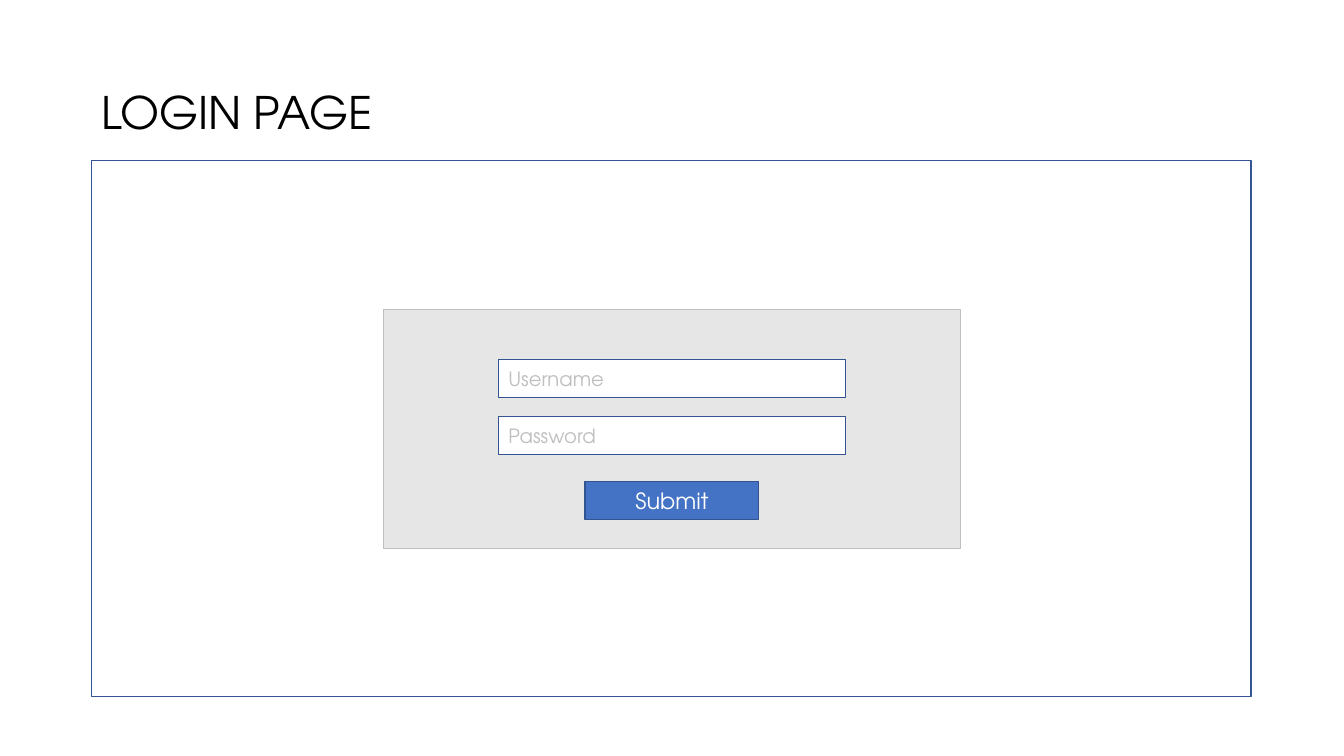
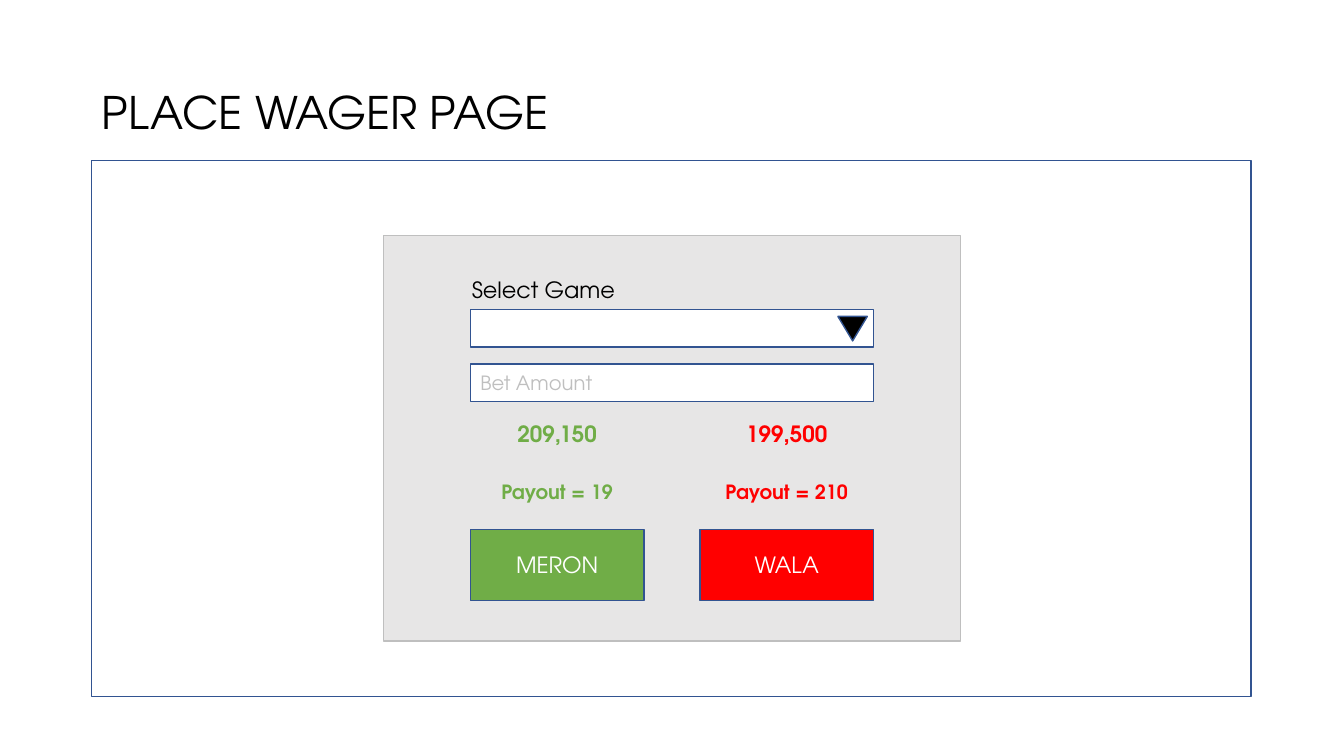
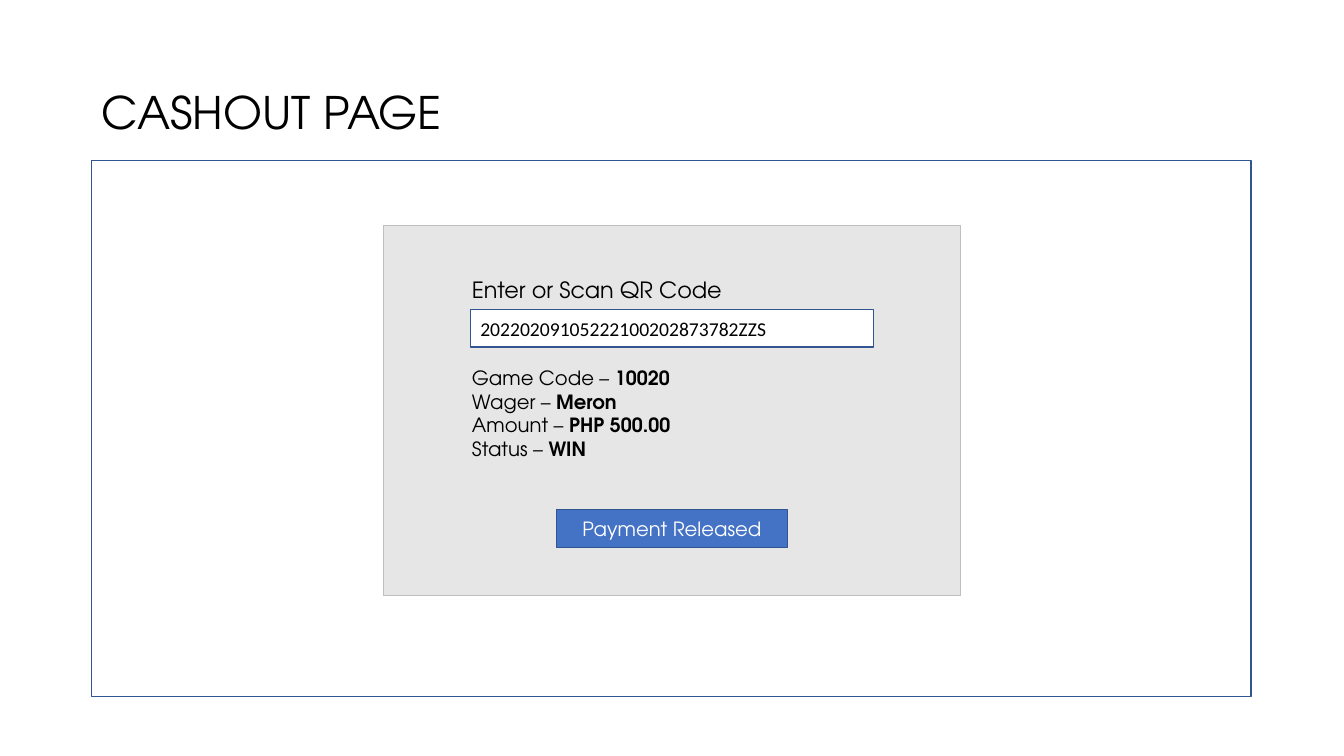
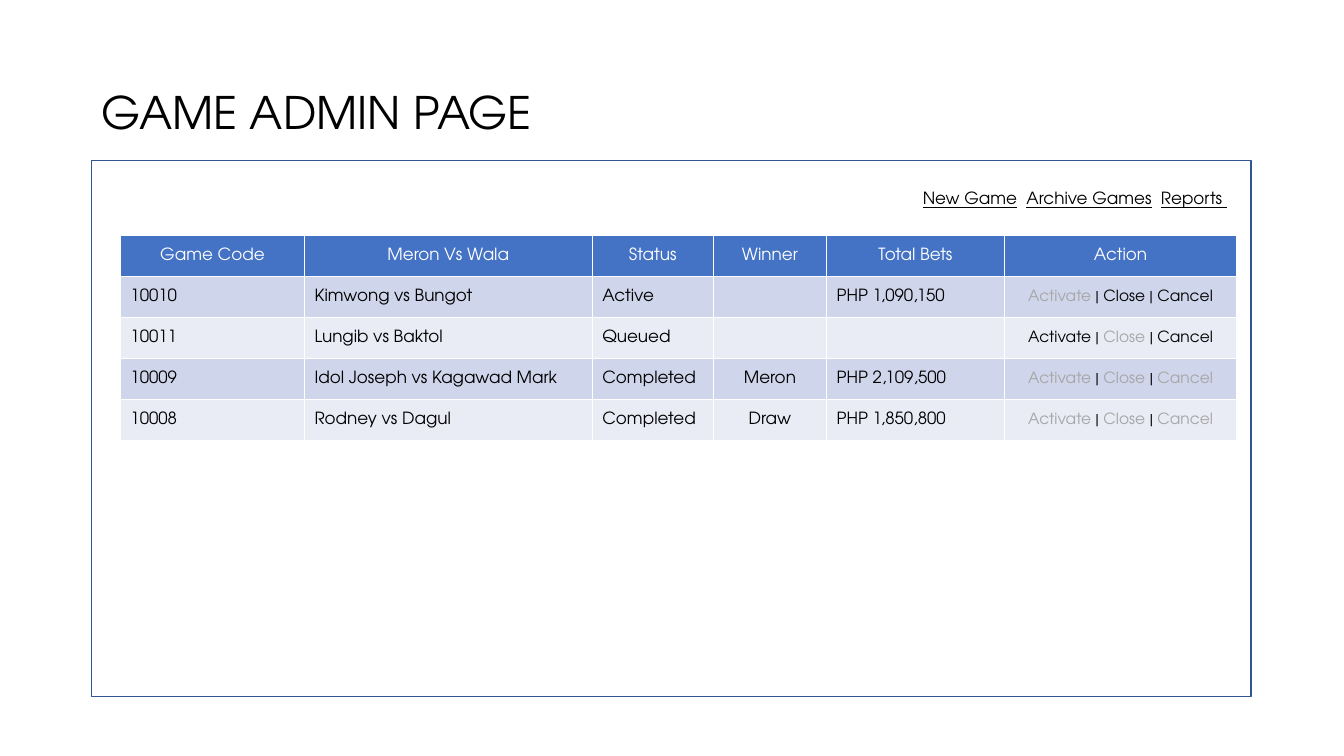
from dataclasses import dataclass

from pptx import Presentation
from pptx.dml.color import RGBColor
from pptx.enum.shapes import MSO_SHAPE as Shape
from pptx.enum.text import MSO_ANCHOR as Anchor, MSO_AUTO_SIZE as AutoSize, PP_ALIGN as Align
from pptx.util import Pt


@dataclass(frozen=True)
class Theme:
    font: str = "TeX Gyre Adventor"
    code_font: str = "Calibri"
    # Colours
    black: str = "000000"
    white: str = "FFFFFF"
    outline: str = "325491"
    accent: str = "4472C4"
    panel: str = "E7E6E6"
    muted: str = "BFBFBF"
    disabled: str = "A6A6A6"
    meron: str = "70AD47"
    wala: str = "FF0000"
    bands: tuple = ("CFD5EA", "E9EBF5")
    # Type sizes
    title: int = 32
    large: int = 16
    body: int = 14
    table: int = 12
    action: int = 11


THEME = Theme()
SLIDE_WIDTH, SLIDE_HEIGHT = 960, 540
FIELD_HEIGHT = 27


def centered(width):
    return (SLIDE_WIDTH - width) / 2


class Wireframe:
    """Builds mock-up pages; all lengths are in points."""

    def __init__(self, theme):
        self.theme = theme
        self.presentation = Presentation()
        self.presentation.slide_width = Pt(SLIDE_WIDTH)
        self.presentation.slide_height = Pt(SLIDE_HEIGHT)
        self.slide = None

    def page(self, title):
        layout = self.presentation.slide_layouts[5]
        self.slide = self.presentation.slides.add_slide(layout)
        self.box(65.5, 114.5, 828, 383)
        heading = self.slide.shapes.title
        self.place(heading, 65.5, 57, 448.5, 46)
        frame = heading.text_frame
        frame.auto_size = AutoSize.SHAPE_TO_FIT_TEXT
        self.fill_text(frame, title, anchor=Anchor.TOP, size=self.theme.title)

    def place(self, shape, *bounds):
        for name, value in zip(("left", "top", "width", "height"), bounds):
            setattr(shape, name, Pt(value))

    def fill_text(self, frame, content, align=Align.LEFT, anchor=Anchor.MIDDLE, **style):
        """Content is a string, or a list of paragraphs made of (text, style) runs."""
        paragraphs = [[(content, {})]] if isinstance(content, str) else content
        frame.word_wrap = True
        frame.vertical_anchor = anchor
        for index, runs in enumerate(paragraphs):
            paragraph = frame.add_paragraph() if index else frame.paragraphs[0]
            paragraph.alignment = align
            for text, changes in runs:
                run = paragraph.add_run()
                run.text = text
                self.format_run(run, **{**style, **changes})

    def format_run(self, run, size=THEME.body, color=THEME.black, name=THEME.font,
                   bold=False, underline=False, tracking=0):
        values = {"size": Pt(size), "name": name, "bold": bold, "underline": underline}
        for attribute, value in values.items():
            setattr(run.font, attribute, value)
        run.font.color.rgb = RGBColor.from_string(color)
        if tracking:
            run._r.get_or_add_rPr().set("spc", str(round(tracking * 100)))

    def paint(self, fill, color):
        if color is None:
            fill.background()
        else:
            fill.solid()
            fill.fore_color.rgb = RGBColor.from_string(color)

    def box(self, left, top, width, height, content=None, fill=None,
            line=THEME.outline, kind=Shape.RECTANGLE, **style):
        shape = self.slide.shapes.add_shape(kind, *map(Pt, (left, top, width, height)))
        shape.shadow.inherit = False
        self.paint(shape.fill, fill)
        self.paint(shape.line.fill, line)
        if line:
            shape.line.width = Pt(1)
        if content:
            self.fill_text(shape.text_frame, content, **style)
        return shape

    def panel(self, top, height):
        self.box(centered(412), top, 412, height, fill=self.theme.panel, line=self.theme.muted)

    def field(self, top, width, content=None, **style):
        style = {"color": self.theme.muted, **style}
        self.box(centered(width), top, width, FIELD_HEIGHT, content,
                 fill=self.theme.white, **style)

    def label(self, left, top, width, content, height=FIELD_HEIGHT, **style):
        self.box(left, top, width, height, content, fill=self.theme.panel,
                 line=self.theme.panel, **style)

    def button(self, left, top, width, text, fill=THEME.accent,
               height=FIELD_HEIGHT, size=THEME.large):
        self.box(left, top, width, height, text, fill=fill, align=Align.CENTER,
                 color=self.theme.white, size=size)

    def arrow_down(self, left, top, width, height):
        self.box(left, top, width, height, fill=self.theme.black,
                 kind=Shape.ISOSCELES_TRIANGLE).rotation = 180

    def cell(self, cell, content, fill, **style):
        cell.margin_top = cell.margin_bottom = Pt(0)
        cell.vertical_anchor = Anchor.MIDDLE
        self.paint(cell.fill, fill)
        if content:
            self.fill_text(cell.text_frame, content, **style)

    def table(self, left, top, widths, row_height, header, rows, centered_columns):
        count = len(rows) + 1
        table = self.slide.shapes.add_table(
            count, len(widths), Pt(left), Pt(top), Pt(sum(widths)), Pt(row_height * count)).table
        for column, width in zip(table.columns, widths):
            column.width = Pt(width)
        for index, text in enumerate(header):
            self.cell(table.cell(0, index), text, self.theme.accent, align=Align.CENTER,
                      color=self.theme.white, size=self.theme.table)
        for row_index, row in enumerate(rows):
            fill = self.theme.bands[row_index % 2]
            for index, content in enumerate(row):
                align = Align.CENTER if index in centered_columns else Align.LEFT
                self.cell(table.cell(row_index + 1, index), content, fill,
                          align=align, size=self.theme.table)


def game_actions(*enabled):
    """One line of actions, with those not enabled greyed out."""
    runs = []
    for action in ("Activate", "Close", "Cancel"):
        if runs:
            runs.append((" | ", {"size": THEME.action}))
        color = THEME.black if action in enabled else THEME.disabled
        runs.append((action, {"size": THEME.action, "color": color}))
    return [runs]


wireframe = Wireframe(THEME)

# Login page
wireframe.page("LOGIN PAGE")
wireframe.panel(221, 171)
for top, prompt in ((257, "Username"), (297.5, "Password")):
    wireframe.field(top, 248, prompt)
wireframe.button(centered(124), 344, 124, "Submit")

# Place wager page
wireframe.page("PLACE WAGER PAGE")
wireframe.panel(168, 290)
wireframe.label(330, 193, 124, "Select Game", size=THEME.large)
wireframe.field(221, 288)
wireframe.arrow_down(598.5, 226, 21, 17.5)
wireframe.field(260, 288, "Bet Amount")
sides = (
    (336, "MERON", "209,150", "Payout = 19", THEME.meron),
    (500, "WALA", "199,500", "Payout = 210", THEME.wala),
)
for left, side, total, payout, color in sides:
    for top, text, size in ((296, total, THEME.large), (338, payout, THEME.body)):
        wireframe.label(left, top, 124, text, align=Align.CENTER,
                        color=color, size=size, bold=True)
    wireframe.button(left, 378, 124, side, fill=color, height=51)

# Cashout page
wireframe.page("CASHOUT PAGE")
wireframe.panel(161, 264.5)
wireframe.label(330, 193, 211, "Enter or Scan QR Code", size=THEME.large)
wireframe.field(221, 288, "20220209105222100202873782ZZS",
                color=THEME.black, name=THEME.code_font)
ticket = (("Game Code", "10020"), ("Wager", "Meron"),
          ("Amount", "PHP 500.00"), ("Status", "WIN"))
wireframe.label(330, 260, 294, [[(f"{name} – ", {}), (value, {"bold": True})]
                                for name, value in ticket], height=70.5)
wireframe.button(centered(165), 364, 165, "Payment Released", size=THEME.body)

# Game admin page
wireframe.page("GAME ADMIN PAGE")
underlined, gap = {"underline": True}, {"tracking": 3.3}
menu = [("New Game", underlined), (" ", gap), ("Archive Games", underlined),
        (" ", gap), ("Reports ", underlined)]
wireframe.box(480, 128, 403.5, FIELD_HEIGHT, [menu], fill=THEME.white, line=None,
              align=Align.RIGHT, size=THEME.table)
wireframe.table(
    86, 168.5, (131.5, 205.5, 86.5, 81, 127, 166), 29.25,
    ("Game Code", "Meron Vs Wala", "Status", "Winner", "Total Bets", "Action"),
    (
        ("10010", "Kimwong vs Bungot", "Active", "", "PHP 1,090,150",
         game_actions("Close", "Cancel")),
        ("10011", "Lungib vs Baktol", "Queued", "", "",
         game_actions("Activate", "Cancel")),
        ("10009", "Idol Joseph vs Kagawad Mark", "Completed", "Meron", "PHP 2,109,500",
         game_actions()),
        ("10008", "Rodney vs Dagul", "Completed", "Draw", "PHP 1,850,800",
         game_actions()),
    ),
    centered_columns=(3, 5))

wireframe.presentation.save("out.pptx")
